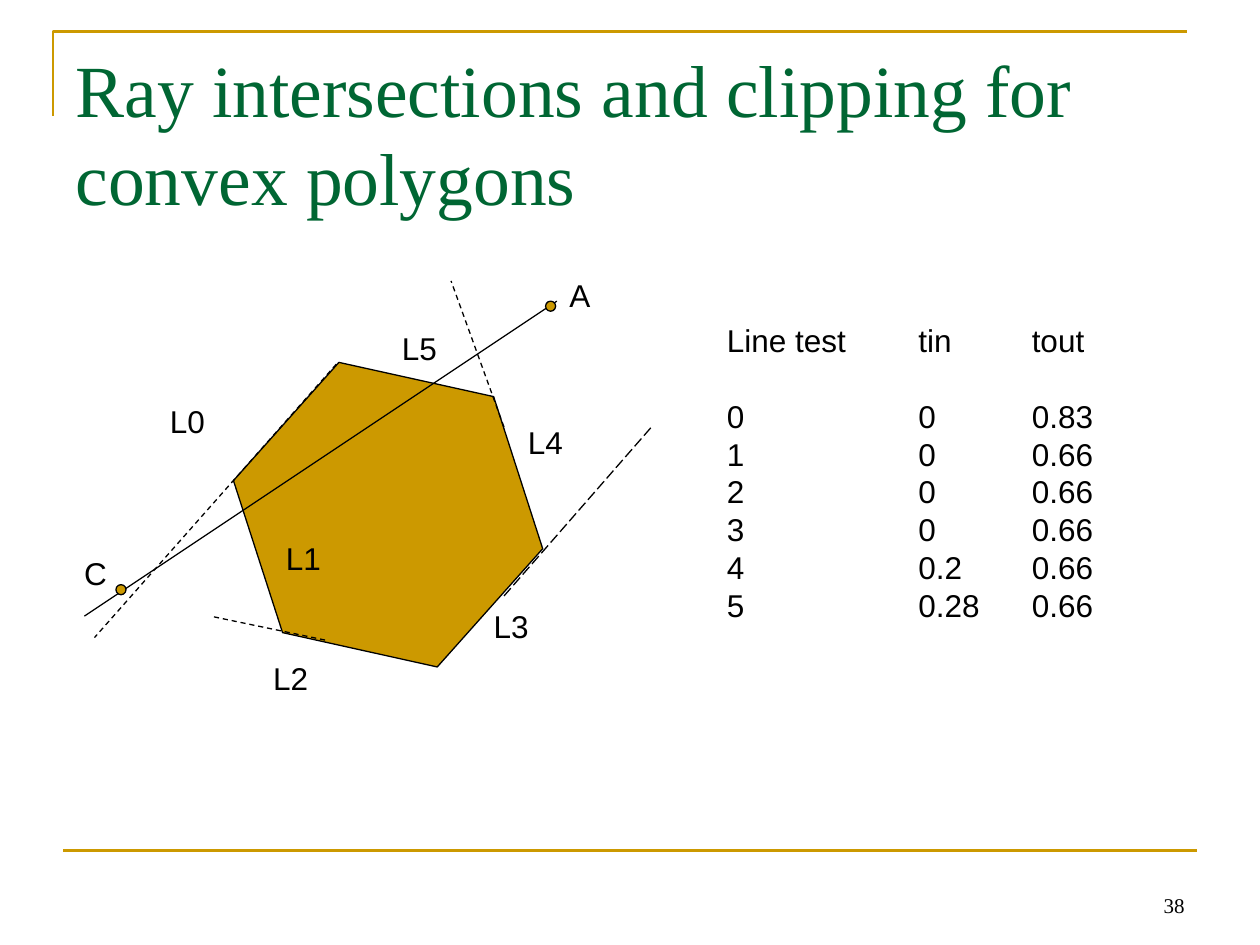
from lxml import etree
from pptx import Presentation
from pptx.dml.color import RGBColor
from pptx.enum.dml import MSO_LINE
from pptx.enum.shapes import MSO_CONNECTOR, MSO_SHAPE
from pptx.enum.text import MSO_ANCHOR, PP_ALIGN
from pptx.oxml.ns import qn
from pptx.util import Inches, Pt

DASH, LONG_DASH = MSO_LINE.DASH, MSO_LINE.LONG_DASH
STRAIGHT = MSO_CONNECTOR.STRAIGHT
HEXAGON, OVAL = MSO_SHAPE.HEXAGON, MSO_SHAPE.OVAL
TOP, BOTTOM = MSO_ANCHOR.TOP, MSO_ANCHOR.BOTTOM
LEFT, RIGHT = PP_ALIGN.LEFT, PP_ALIGN.RIGHT
COLORS = {name: RGBColor.from_string(value) for name, value in {
    "gold": "CC9900", "green": "006633", "black": "000000"}.items()}


def write(frame, *lines, size=18, font="Arial", color="black", align=LEFT,
          anchor=TOP, wrap=False, leading=21.6, tabs=()):
    """Fill a text frame with one paragraph per line."""
    frame.word_wrap = wrap
    frame.vertical_anchor = anchor
    frame.text = "\n".join(lines)
    for paragraph in frame.paragraphs:
        paragraph.alignment = align
        paragraph.line_spacing = Pt(leading)
        if tabs:
            stops = etree.SubElement(paragraph._p.get_or_add_pPr(), qn("a:tabLst"))
            for tab in tabs:
                etree.SubElement(stops, qn("a:tab"), pos=str(Inches(tab)), algn="l")
        paragraph.font.size = Pt(size)
        paragraph.font.name = font
        paragraph.font.color.rgb = COLORS[color]


def draw_line(x1, y1, x2, y2, color="black", width=0.75, dash=None):
    line = slide.shapes.add_connector(
        STRAIGHT, Inches(x1), Inches(y1), Inches(x2), Inches(y2))
    line.line.color.rgb = COLORS[color]
    line.line.width = Pt(width)
    if dash:
        line.line.dash_style = dash
    etree.SubElement(line._element.spPr, qn("a:effectLst"))


prs = Presentation()
prs.slide_width, prs.slide_height = Inches(10), Inches(7.5)
slide = prs.slides.add_slide(prs.slide_layouts[5])

# Frame of the page
outline = slide.shapes.build_freeform(Inches(0.42), Inches(0.92))
outline.add_line_segments(
    [(Inches(0.42), Inches(0.25)), (Inches(9.42), Inches(0.25))], close=False)
corner = outline.convert_to_shape()
corner.fill.background()
corner.line.color.rgb = COLORS["gold"]
corner.line.width = Pt(1.5)
corner.shadow.inherit = False
draw_line(0.5, 6.75, 9.5, 6.75, color="gold", width=1.5)

title = slide.shapes.title
title.left, title.top, title.width, title.height = map(Inches, (0.5, 0.3, 9, 1.25))
write(title.text_frame, "Ray intersections and clipping for convex polygons",
      size=42, font="Times New Roman", color="green", wrap=True, leading=50.3)

# Polygon, ray from C to A, and extended edges
polygon = slide.shapes.add_shape(
    HEXAGON, Inches(1.81), Inches(3), Inches(2.54), Inches(2.17))
polygon.rotation = 72.1
polygon.adjustments[0] = 0.293
draw_line(0.67, 4.89, 4.42, 2.39)
for *ends, dash in [
    (2.67, 2.89, 0.75, 5.06, DASH),
    (4, 3.39, 3.58, 2.23, DASH),
    (4, 4.73, 5.17, 3.39, LONG_DASH),
    (2.58, 5.08, 1.67, 4.89, DASH),
]:
    draw_line(*ends, dash=dash)

ray_points = [
    slide.shapes.add_shape(OVAL, Inches(x), Inches(y), Inches(0.08), Inches(0.08))
    for x, y in [(0.92, 4.64), (4.33, 2.39)]]
for shape in [polygon, *ray_points]:
    shape.fill.solid()
    shape.fill.fore_color.rgb = COLORS["gold"]
    shape.line.color.rgb = COLORS["black"]
    shape.line.width = Pt(0.75)
    shape.shadow.inherit = False

for label, x, y, width in [
    ("L0", 1.25, 3.14, 0.48), ("L1", 2.17, 4.23, 0.48), ("L2", 2.07, 5.18, 0.48),
    ("L3", 3.82, 4.77, 0.48), ("L4", 4.09, 3.31, 0.48), ("L5", 3.09, 2.56, 0.48),
    ("C", 0.57, 4.35, 0.38), ("A", 4.42, 2.14, 0.36),
]:
    box = slide.shapes.add_textbox(Inches(x), Inches(y), Inches(width), Inches(0.4))
    write(box.text_frame, label)

# Entry and exit values after each line test
tests = [("Line test", "tin", "tout"), ("0", "0", "0.83"), ("1", "0", "0.66"),
         ("2", "0", "0.66"), ("3", "0", "0.66"), ("4", "0.2", "0.66"),
         ("5", "0.28", "0.66")]
results = slide.shapes.add_textbox(Inches(5.67), Inches(2.5), Inches(3.12), Inches(2.5))
write(results.text_frame, *("\t".join(row) for row in tests), tabs=(1.52, 2.42))
results.text_frame.paragraphs[0].space_after = Pt(21.6)

number = slide.shapes.add_textbox(Inches(7.17), Inches(6.83), Inches(2.33), Inches(0.5))
write(number.text_frame, "38", size=12, font="Times New Roman", align=RIGHT,
      anchor=BOTTOM, wrap=True, leading=14)

prs.save("out.pptx")
